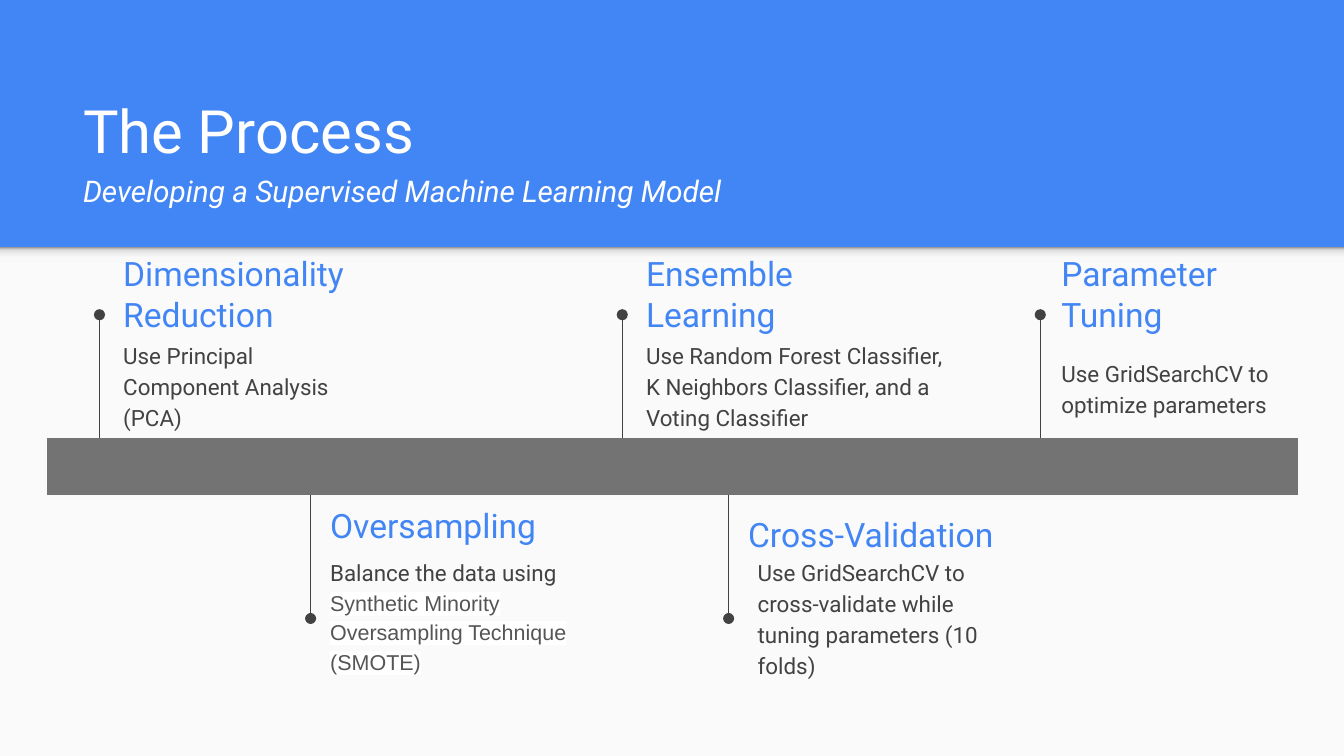
from lxml.etree import SubElement
from pptx import Presentation
from pptx.dml.color import RGBColor
from pptx.enum.shapes import MSO_CONNECTOR, MSO_SHAPE
from pptx.enum.text import MSO_ANCHOR
from pptx.oxml.ns import qn
from pptx.util import Cm, Pt

BLUE = RGBColor(0x42, 0x85, 0xF4)
WHITE = RGBColor(0xFF, 0xFF, 0xFF)
PAPER = RGBColor(0xFA, 0xFA, 0xFA)
DARK = RGBColor(0x42, 0x42, 0x42)
MID_GRAY = RGBColor(0x55, 0x55, 0x55)
BAR_GRAY = RGBColor(0x73, 0x73, 0x73)
SHADE_STOPS = [
    (0, RGBColor(0xF9, 0xF9, 0xF9)),
    (36, RGBColor(0xF9, 0xF9, 0xF9)),
    (80, RGBColor(0xDE, 0xDE, 0xDE)),
    (100, RGBColor(0x99, 0x99, 0x99)),
]

# Content: positions are (left, top, width) in centimetres
TITLE = "The Process"
SUBTITLE = "Developing a Supervised Machine Learning Model"
STAGES = [
    {"line": 1.88, "above": True,
     "heading": "Dimensionality Reduction", "heading_at": (2.08, 4.75, 4.9),
     "body": "Use Principal Component Analysis (PCA)", "body_at": (2.08, 6.15, 4.55)},
    {"line": 5.87, "above": False,
     "heading": "Oversampling", "heading_at": (5.99, 9.12, 4.55),
     "body": "Balance the data using ", "body_at": (5.99, 10.24, 5.03),
     "marked": "Synthetic Minority Oversampling Technique (SMOTE)"},
    {"line": 11.76, "above": True,
     "heading": "Ensemble Learning", "heading_at": (11.96, 4.75, 4.55),
     "body": "Use Random Forest Classifier, K Neighbors Classifier, and a Voting Classifier",
     "body_at": (11.96, 6.15, 6.25)},
    {"line": 13.77, "above": False,
     "heading": "Cross-Validation", "heading_at": (13.89, 9.29, 5.38),
     "body": "Use GridSearchCV to cross-validate while tuning parameters (10 folds)",
     "body_at": (14.07, 10.24, 5.03)},
    {"line": 19.66, "above": True,
     "heading": "Parameter Tuning", "heading_at": (19.81, 4.75, 3.51),
     "body": "Use GridSearchCV to optimize parameters", "body_at": (19.81, 6.48, 5.03)},
]

# Layout in centimetres
SLIDE_WIDTH, SLIDE_HEIGHT = 25.4, 14.29
PANEL_TOP, SHADE_HEIGHT = 4.67, 0.3
BAR_LEFT, BAR_TOP, BAR_HEIGHT = 0.89, 8.28, 1.08
BAR_COLUMNS, COLUMN_WIDTH = 12, 1.97
STEM = 2.33
TEXT_HEIGHT = 1.6


def add_rectangle(page, top, height):
    shape = page.shapes.add_shape(MSO_SHAPE.RECTANGLE, 0, Cm(top), Cm(SLIDE_WIDTH), Cm(height))
    shape.shadow.inherit = False
    shape.line.fill.background()
    return shape


def add_text_box(page, left, top, width, height, anchor):
    box = page.shapes.add_textbox(Cm(left), Cm(top), Cm(width), Cm(height))
    frame = box.text_frame
    frame.word_wrap = True
    frame.vertical_anchor = anchor
    frame.margin_left = frame.margin_right = Cm(0.25)
    frame.margin_top = frame.margin_bottom = Cm(0.25)
    return frame


def add_span(para, text, size, color, name="Roboto"):
    span = para.add_run()
    span.text = text
    span.font.size = Pt(size)
    span.font.name = name
    span.font.color.rgb = color
    return span


def highlight(span, color):
    mark = span.font._element.makeelement(qn("a:highlight"))
    SubElement(mark, qn("a:srgbClr"), val=str(color))
    span.font._element.find(qn("a:solidFill")).addnext(mark)


def add_stem(page, x, start, end):
    stem = page.shapes.add_connector(MSO_CONNECTOR.STRAIGHT, Cm(x), Cm(start), Cm(x), Cm(end))
    stem.line.color.rgb = DARK
    stem.line.width = Pt(0.75)
    SubElement(stem.line._get_or_add_ln(), qn("a:tailEnd"), type="oval")
    SubElement(stem._element.spPr, qn("a:effectLst"))


def add_stage(page, stage):
    if stage["above"]:
        add_stem(page, stage["line"], BAR_TOP, BAR_TOP - STEM)
    else:
        bar_bottom = BAR_TOP + BAR_HEIGHT
        add_stem(page, stage["line"], bar_bottom, bar_bottom + STEM)

    heading = add_text_box(page, *stage["heading_at"], TEXT_HEIGHT, MSO_ANCHOR.MIDDLE)
    add_span(heading.paragraphs[0], stage["heading"], 18, BLUE)

    body = add_text_box(page, *stage["body_at"], TEXT_HEIGHT, MSO_ANCHOR.TOP)
    para = body.paragraphs[0]
    para.line_spacing = 1.15
    add_span(para, stage["body"], 12, DARK)
    if "marked" in stage:
        highlight(add_span(para, stage["marked"], 11.5, MID_GRAY, "Arial"), WHITE)


def add_bar(page):
    frame = page.shapes.add_table(1, BAR_COLUMNS, Cm(BAR_LEFT), Cm(BAR_TOP),
                                  Cm(BAR_COLUMNS * COLUMN_WIDTH), Cm(BAR_HEIGHT))
    table = frame.table
    table.first_row = table.horz_banding = False
    for column in table.columns:
        column.width = Cm(COLUMN_WIDTH)
    # Cell edges take the fill colour so the bar reads as one piece
    for cell in table.iter_cells():
        properties = cell._tc.get_or_add_tcPr()
        for side in ("a:lnL", "a:lnR", "a:lnT", "a:lnB"):
            SubElement(SubElement(properties, qn(side), w="0"), qn("a:noFill"))
        cell.fill.solid()
        cell.fill.fore_color.rgb = BAR_GRAY


deck = Presentation()
deck.slide_width, deck.slide_height = Cm(SLIDE_WIDTH), Cm(SLIDE_HEIGHT)
page = deck.slides.add_slide(deck.slide_layouts[6])
page.background.fill.solid()
page.background.fill.fore_color.rgb = BLUE

# Light panel with a soft shade under the header
panel = add_rectangle(page, PANEL_TOP, SLIDE_HEIGHT - PANEL_TOP)
panel.fill.solid()
panel.fill.fore_color.rgb = PAPER
shade = add_rectangle(page, PANEL_TOP, SHADE_HEIGHT)
shade.fill.gradient()
shade.fill.gradient_angle = 90
stops = shade._element.spPr.find(".//" + qn("a:gsLst"))
stops.clear()
for percent, color in SHADE_STOPS:
    stop = SubElement(stops, qn("a:gs"), pos=str(percent * 1000))
    SubElement(stop, qn("a:srgbClr"), val=str(color))

# Header
header = add_text_box(page, 1.32, 2.06, 22.83, 2.13, MSO_ANCHOR.BOTTOM)
add_span(header.paragraphs[0], TITLE, 32, WHITE)
subtitle = header.add_paragraph()
subtitle.space_before = subtitle.space_after = Pt(4)
add_span(subtitle, SUBTITLE, 16, WHITE).font.italic = True

# Timeline
for stage in STAGES:
    add_stage(page, stage)
add_bar(page)

deck.save("out.pptx")
